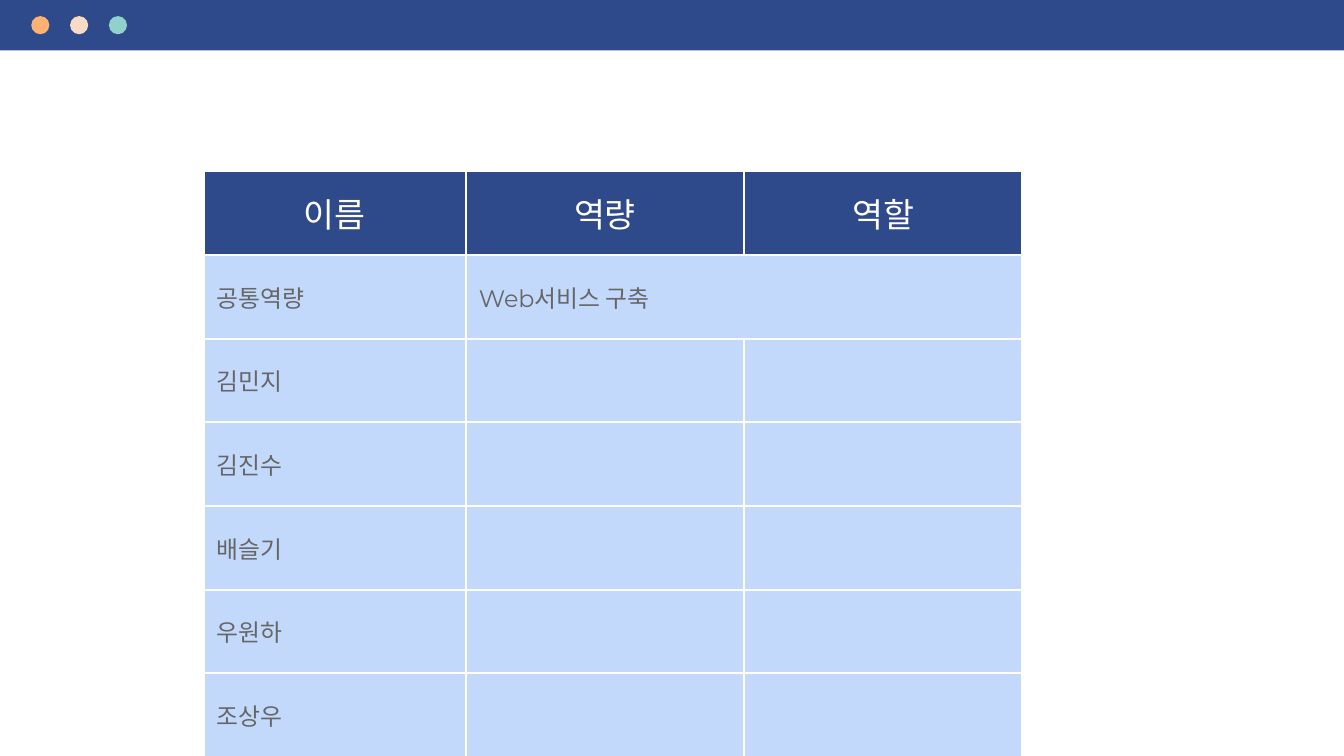
import pptx
import pptx.util
import pptx.dml.color
import pptx.enum.shapes
import pptx.enum.text
import lxml.etree
import pptx.oxml.ns

Inches = pptx.util.Inches
Pt = pptx.util.Pt
RGBColor = pptx.dml.color.RGBColor
Kind = pptx.enum.shapes.MSO_SHAPE
Align = pptx.enum.text.PP_ALIGN
qn = pptx.oxml.ns.qn

NAVY = RGBColor(0x2F, 0x4A, 0x8A)
ORANGE = RGBColor(0xFF, 0xB1, 0x72)
CREAM = RGBColor(0xF8, 0xDB, 0xC4)
TEAL = RGBColor(0x90, 0xD1, 0xCB)
PALE = RGBColor(0xC3, 0xD9, 0xFB)
GRAY = RGBColor(0x66, 0x66, 0x66)
WHITE = RGBColor(0xFF, 0xFF, 0xFF)

deck = pptx.Presentation()
deck.slide_width = Inches(13.33)
deck.slide_height = Inches(7.5)
slide = deck.slides.add_slide(deck.slide_layouts[6])


def draw(kind, left, top, width, height, color):
    shape = slide.shapes.add_shape(
        kind, Inches(left), Inches(top), Inches(width), Inches(height))
    shape.shadow.inherit = False
    shape.fill.solid()
    shape.fill.fore_color.rgb = color
    shape.line.fill.background()


def edge(cell):
    props = cell._tc.get_or_add_tcPr()
    for side in ("a:lnL", "a:lnR", "a:lnT", "a:lnB"):
        line = lxml.etree.SubElement(props, qn(side), w=str(Pt(1.5)))
        fill = lxml.etree.SubElement(line, qn("a:solidFill"))
        lxml.etree.SubElement(fill, qn("a:srgbClr"), val=str(WHITE))


draw(Kind.RECTANGLE, 0, 0, 13.33, 0.5, NAVY)
for i, color in enumerate((ORANGE, CREAM, TEAL)):
    draw(Kind.OVAL, 0.31 + i * 0.385, 0.16, 0.18, 0.18, color)

rows = [
    ("이름", "역량", "역할"),
    ("공통역량", "Web서비스 구축", ""),
    ("김민지", "", ""),
    ("김진수", "", ""),
    ("배슬기", "", ""),
    ("우원하", "", ""),
    ("조상우", "", ""),
]
widths = (2.6, 2.76, 2.76)
frame = slide.shapes.add_table(
    len(rows), len(widths), Inches(2.02), Inches(1.7), Inches(8.12), Inches(5.8))
table = frame.table
for col, width in zip(table.columns, widths):
    col.width = Inches(width)

for r, texts in enumerate(rows):
    table.rows[r].height = Inches(0.83)
    head = r == 0
    for c, text in enumerate(texts):
        cell = table.cell(r, c)
        edge(cell)
        cell.fill.solid()
        cell.fill.fore_color.rgb = NAVY if head else PALE
        cell.vertical_anchor = pptx.enum.text.MSO_ANCHOR.MIDDLE
        cell.margin_left = cell.margin_right = Inches(0.13)
        cell.margin_top = cell.margin_bottom = Inches(0.13)
        if text:
            para = cell.text_frame.paragraphs[0]
            para.alignment = Align.CENTER if head else Align.LEFT
            run = para.add_run()
            run.text = text
            run.font.name = "Roboto" if head else "Montserrat"
            run.font.size = Pt(24 if head else 17)
            run.font.bold = False
            run.font.color.rgb = WHITE if head else GRAY

table.cell(1, 1).merge(table.cell(1, 2))

deck.save("out.pptx")
